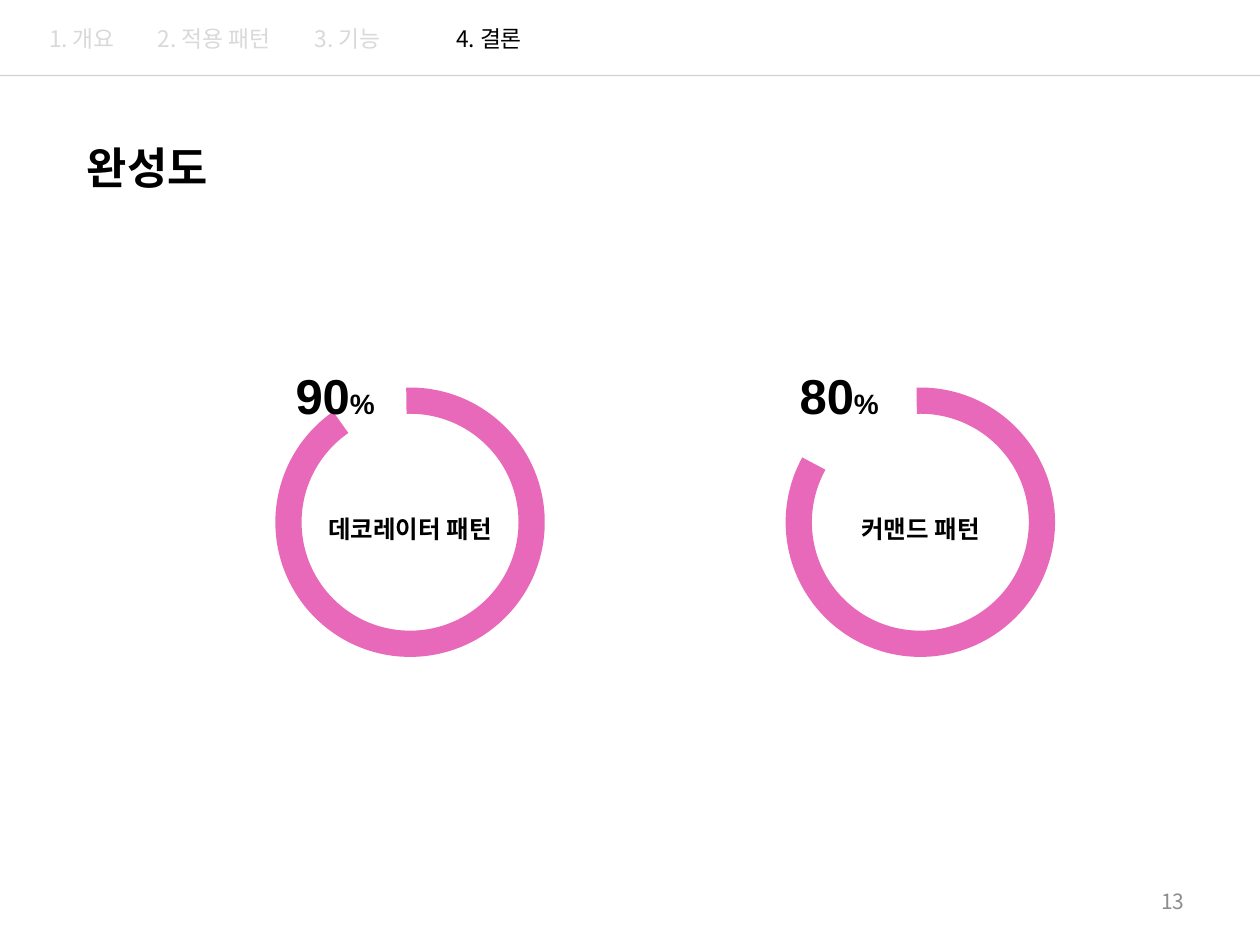
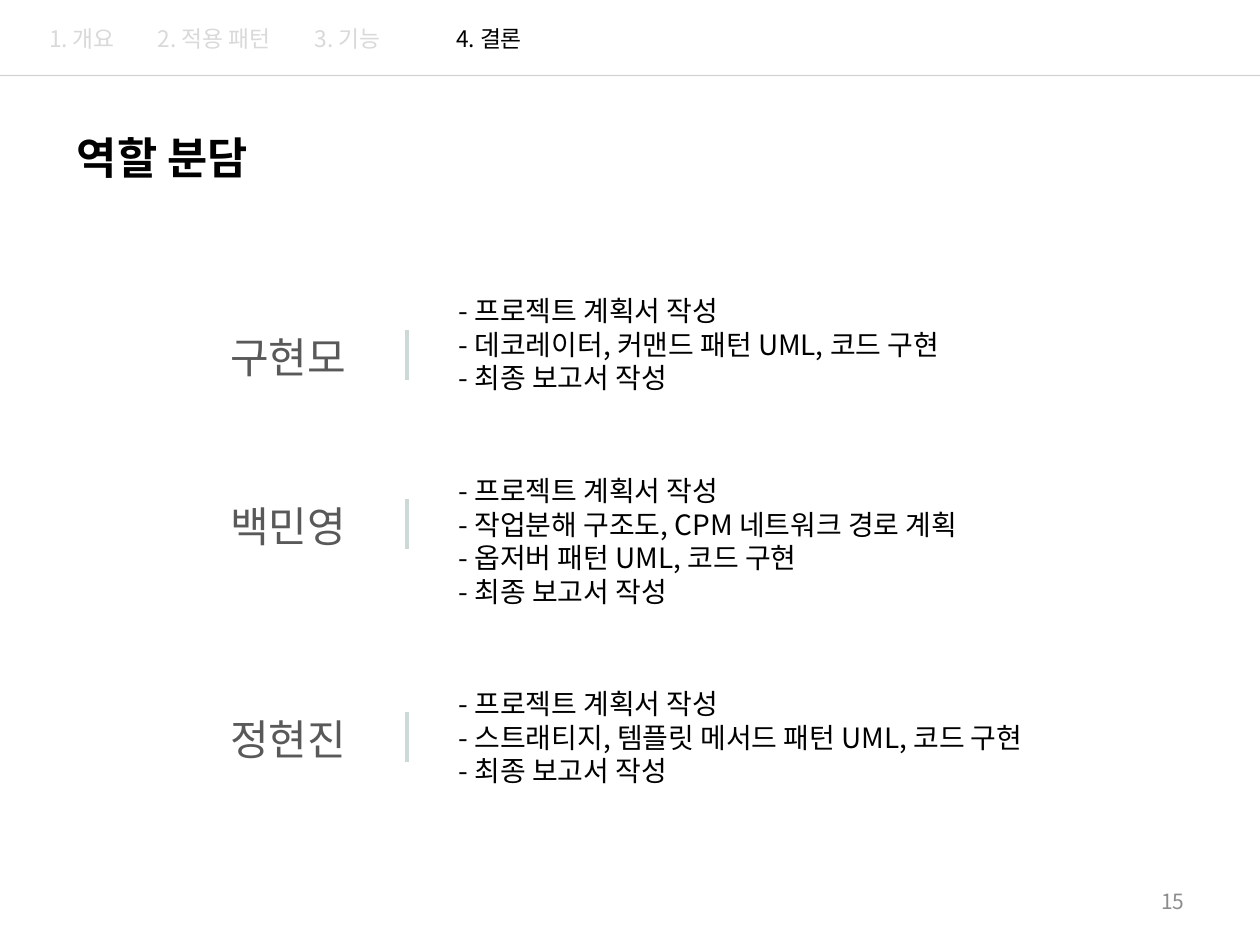
from dataclasses import dataclass

from lxml import etree
from pptx import Presentation
from pptx import util as u
from pptx.dml.color import RGBColor
from pptx.enum import shapes, text
from pptx.oxml import ns

FONT = "Noto Sans CJK KR"
NUMBER_FONT = "Arial"
BLACK = RGBColor(0x00, 0x00, 0x00)
PINK = RGBColor(0xE8, 0x69, 0xBA)
MINT = RGBColor(0xCD, 0xD9, 0xD7)
RULE_GRAY = RGBColor(0xA6, 0xA6, 0xA6)
NAME_GRAY = RGBColor(0x59, 0x59, 0x59)
PAGE_GRAY = RGBColor(0x8C, 0x8C, 0x8C)
INACTIVE = RGBColor(0xD9, 0xD9, 0xD9)

LEFT = text.PP_ALIGN.LEFT
CENTER = text.PP_ALIGN.CENTER
RIGHT = text.PP_ALIGN.RIGHT
TITLE_ONLY, COMPARISON = 5, 3 + 1
ACTIVE_SECTION = "4. 결론"


@dataclass(frozen=True)
class Section:
    """One entry of the navigation band."""
    label: str
    left: float
    width: float


@dataclass(frozen=True)
class Gauge:
    """A progress ring with its percentage and caption."""
    caption: str
    percent: str
    ring_left: float
    end_angle: float
    percent_left: float
    percent_width: float


@dataclass(frozen=True)
class Member:
    """A team member and the tasks taken on."""
    name: str
    name_top: float
    list_top: float
    list_width: float
    tasks: tuple[str, ...]


SECTIONS = (
    Section("1. 개요", 0.12, 1.06),
    Section("2. 적용 패턴", 1.08, 1.24),
    Section("3. 기능", 2.01, 1.5),
    Section(ACTIVE_SECTION, 3.24, 1.28),
)
GAUGES = (
    Gauge("데코레이터 패턴", "90", 2.29, 141.14, 2.14, 1.04),
    Gauge("커맨드 패턴", "80", 6.34, 125.29, 6.1, 1.12),
)
PLAN, REPORT = "프로젝트 계획서 작성", "최종 보고서 작성"
MEMBERS = (
    Member("구현모", 2.58, 2.28, 4.21,
           (PLAN, "데코레이터, 커맨드 패턴 UML, 코드 구현", REPORT)),
    Member("백민영", 3.92, 3.71, 4.49,
           (PLAN, "작업분해 구조도, CPM 네트워크 경로 계획",
            "옵저버 패턴 UML, 코드 구현", REPORT)),
    Member("정현진", 5.61, 5.4, 4.8,
           (PLAN, "스트래티지, 템플릿 메서드 패턴 UML, 코드 구현", REPORT)),
)


def place(shape, left: float, top: float, width: float, height: float) -> None:
    """Move and size a shape, in inches."""
    shape.left, shape.top = u.Inches(left), u.Inches(top)
    shape.width, shape.height = u.Inches(width), u.Inches(height)


def add_alpha(fill_element, percent: int) -> None:
    """Make the colour inside a solid fill partly transparent."""
    alpha = etree.SubElement(fill_element[0], ns.qn("a:alpha"))
    alpha.set("val", str(percent * 1000))


def add_outline(run) -> None:
    """Give a run a thin, faint black outline."""
    line = etree.Element(ns.qn("a:ln"), w=str(u.Pt(0.75)))
    fill = etree.SubElement(line, ns.qn("a:solidFill"))
    etree.SubElement(fill, ns.qn("a:srgbClr"), val=str(BLACK))
    add_alpha(fill, 30)
    run.font._element.insert(0, line)


def add_run(paragraph, content: str, *, size: float, color: RGBColor = BLACK,
            bold: bool = False, font: str = FONT, outline: bool = False) -> None:
    """Append a formatted run to a paragraph."""
    run = paragraph.add_run()
    run.text = content
    run.font.size, run.font.bold, run.font.name = u.Pt(size), bold, font
    run.font.color.rgb = color
    etree.SubElement(run.font._element, ns.qn("a:ea"), typeface=font)
    if outline:
        add_outline(run)


def write(shape, lines: tuple[str, ...], *, align=LEFT, spacing: float = 1.0,
          anchor=text.MSO_ANCHOR.TOP, grow: bool = True, **run_format) -> None:
    """Fill a shape with one formatted paragraph per line."""
    frame = shape.text_frame
    frame.word_wrap = True
    frame.vertical_anchor = anchor
    frame.auto_size = (text.MSO_AUTO_SIZE.SHAPE_TO_FIT_TEXT if grow
                       else text.MSO_AUTO_SIZE.NONE)
    for index, line in enumerate(lines):
        paragraph = frame.add_paragraph() if index else frame.paragraphs[0]
        paragraph.alignment, paragraph.line_spacing = align, spacing
        paragraph.space_before = u.Pt(0)
        add_run(paragraph, line, **run_format)


def add_label(slide, content: str, left: float, top: float, width: float,
              height: float, **text_format):
    """Add a one-line text box."""
    box = slide.shapes.add_textbox(0, 0, 0, 0)
    place(box, left, top, width, height)
    write(box, (content,), **text_format)
    return box


def add_line(slide, start: tuple[float, float], end: tuple[float, float],
             color: RGBColor, width: float):
    """Draw a straight line without shadow."""
    line = slide.shapes.add_connector(
        shapes.MSO_CONNECTOR.STRAIGHT, *map(u.Inches, start + end))
    line.line.color.rgb, line.line.width = color, u.Pt(width)
    etree.SubElement(line._element.spPr, ns.qn("a:effectLst"))
    return line


def add_page(presentation, layout: int, title: str, left: float, top: float,
             number: int):
    """Start a slide with its title, navigation band and page number."""
    slide = presentation.slides.add_slide(presentation.slide_layouts[layout])
    rule = add_line(slide, (10.92, 0.6), (-0.35, 0.6), RULE_GRAY, 0.75)
    add_alpha(rule._element.spPr.find(".//" + ns.qn("a:solidFill")), 50)
    place(slide.shapes.title, left, top, 1.97, 0.52)
    write(slide.shapes.title, (title,), size=25, bold=True)
    for section in SECTIONS:
        color = BLACK if section.label == ACTIVE_SECTION else INACTIVE
        add_label(slide, section.label, section.left, 0.15, section.width, 0.32,
                  align=CENTER, size=13, color=color, outline=True)
    add_label(slide, str(number), 7.17, 6.95, 2.33, 0.4, align=RIGHT, grow=False,
              anchor=text.MSO_ANCHOR.MIDDLE, size=12, color=PAGE_GRAY)
    return slide


def add_gauge(slide, gauge: Gauge) -> None:
    """Draw a progress ring with its caption and percentage."""
    add_label(slide, gauge.caption, gauge.ring_left - 0.49, 3.91, 2.91, 0.45,
              align=CENTER, spacing=1.5, size=14, bold=True)
    ring = slide.shapes.add_shape(shapes.MSO_SHAPE.ARC, 0, 0, 0, 0)
    place(ring, gauge.ring_left, 3.18, 1.93, 1.93)
    ring.adjustments[0], ring.adjustments[1] = 160.96, gauge.end_angle
    ring.shadow.inherit = False
    ring.fill.background()
    ring.line.color.rgb, ring.line.width = PINK, u.Pt(15)
    box = add_label(slide, gauge.percent, gauge.percent_left, 2.85,
                    gauge.percent_width, 0.57, align=CENTER, size=28,
                    bold=True, font=NUMBER_FONT)
    add_run(box.text_frame.paragraphs[0], "%", size=16, bold=True,
            font=NUMBER_FONT)


def add_member(slide, member: Member, body) -> None:
    """Set a member's name, divider and task list."""
    add_label(slide, member.name, 1.73, member.name_top, 1.19, 0.5,
              size=24, color=NAME_GRAY)
    divider_top = member.name_top + 0.04
    add_line(slide, (3.23, divider_top), (3.23, divider_top + 0.4), MINT, 2.25)
    place(body, 3.54, member.list_top, member.list_width,
          0.1 + 0.27 * len(member.tasks))
    write(body, tuple(f"- {task}" for task in member.tasks), size=16)
    for paragraph in body.text_frame.paragraphs:
        properties = paragraph._p.get_or_add_pPr()
        properties.set("marL", "0")
        properties.set("indent", "0")
        etree.SubElement(properties, ns.qn("a:buNone"))


def build_completion(presentation) -> None:
    """Build the completion slide."""
    slide = add_page(presentation, TITLE_ONLY, "완성도", 0.59, 1.07, 13)
    for gauge in GAUGES:
        add_gauge(slide, gauge)


def build_roles(presentation) -> None:
    """Build the slide on who did what."""
    slide = add_page(presentation, COMPARISON, "역할 분담", 0.51, 0.99, 15)
    bodies = list(slide.placeholders)[1:]
    for member, body in zip(MEMBERS, bodies):
        add_member(slide, member, body)
    for unused in bodies[len(MEMBERS):]:
        unused._element.getparent().remove(unused._element)


def main() -> None:
    """Build and save the presentation."""
    presentation = Presentation()
    presentation.slide_width, presentation.slide_height = u.Inches(10), u.Inches(7.5)
    build_completion(presentation)
    build_roles(presentation)
    presentation.save("out.pptx")


main()
